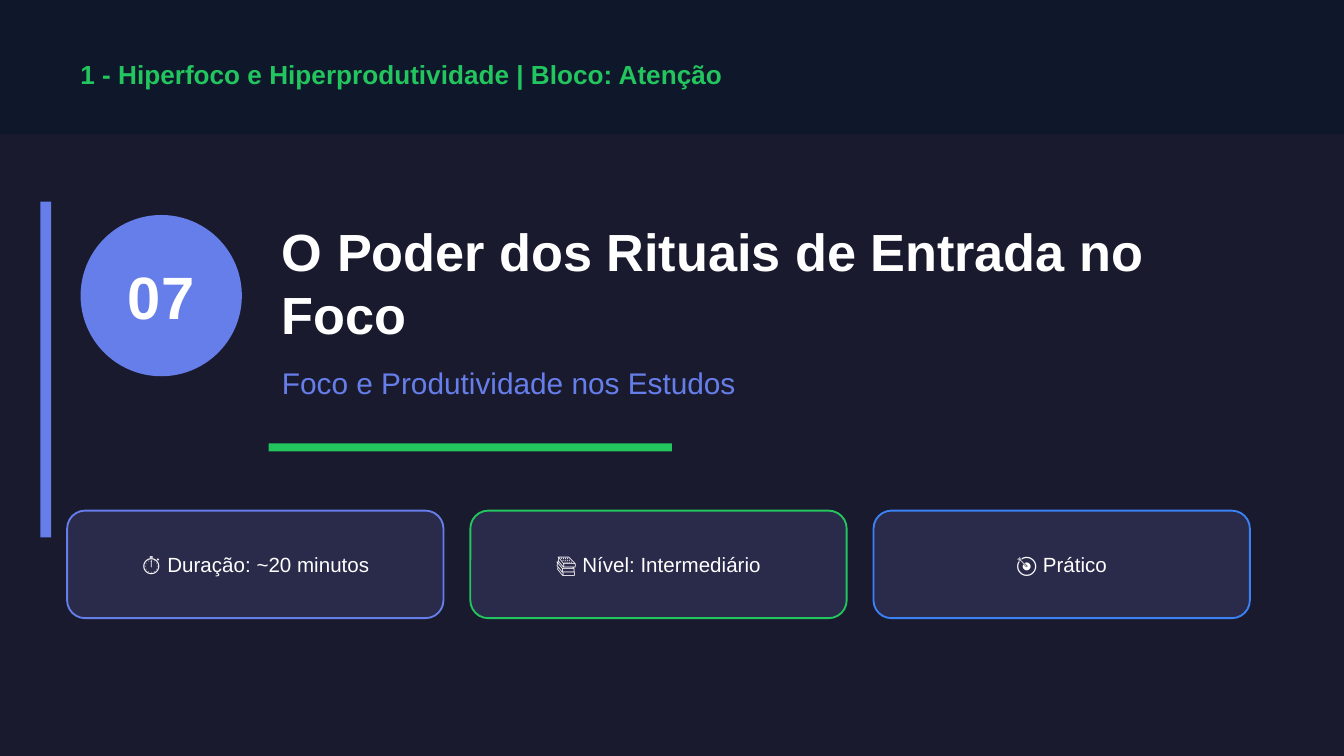
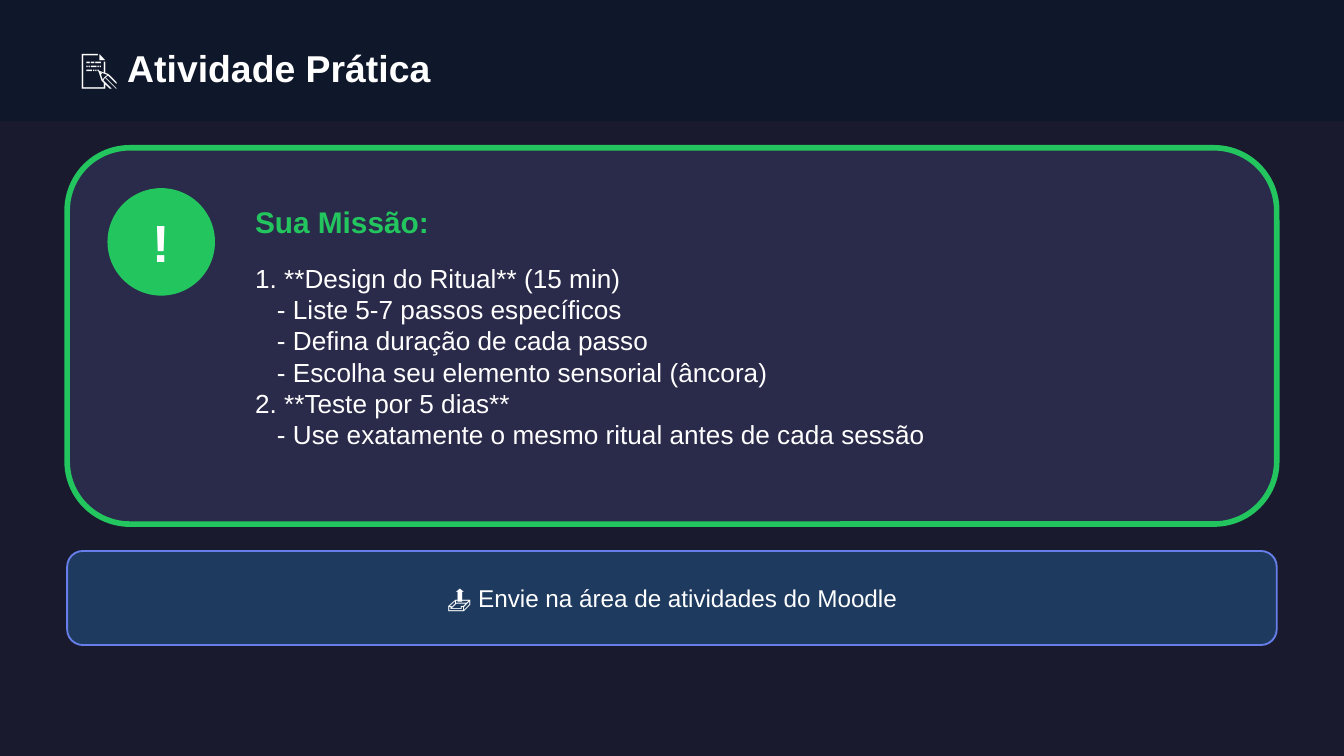
from collections import namedtuple

from pptx import Presentation
from pptx.dml.color import RGBColor
from pptx.enum.shapes import MSO_SHAPE
from pptx.enum.text import MSO_ANCHOR, PP_ALIGN
from pptx.util import Inches, Pt

RECT, ROUND, OVAL = MSO_SHAPE.RECTANGLE, MSO_SHAPE.ROUNDED_RECTANGLE, MSO_SHAPE.OVAL
LEFT, CENTER = PP_ALIGN.LEFT, PP_ALIGN.CENTER
TOP, MIDDLE = MSO_ANCHOR.TOP, MSO_ANCHOR.MIDDLE

NIGHT = RGBColor(0x1A, 0x1A, 0x2E)
BAND = RGBColor(0x0F, 0x17, 0x2A)
CARD = RGBColor(0x2A, 0x2A, 0x4A)
NAVY = RGBColor(0x1E, 0x3A, 0x5F)
GREEN = RGBColor(0x22, 0xC5, 0x5E)
INDIGO = RGBColor(0x66, 0x7E, 0xEA)
BLUE = RGBColor(0x3B, 0x82, 0xF6)
WHITE = RGBColor(0xFF, 0xFF, 0xFF)

FONT = "Arial"
WIDTH = Inches(10)
HEIGHT = WIDTH * 9 // 16
COLUMNS = 100
CELL = WIDTH // COLUMNS
MARGIN = 5
CONTENT = COLUMNS - 2 * MARGIN
SUB_INDENT = Pt(11.7)

Box = namedtuple("Box", "x y w h")


def within(box, x, y, w, h):
    return Box(box.x + x, box.y + y, w, h)


def emu(box):
    return [round(v * CELL) for v in box]


def add_block(s, kind, box, fill, line=None, weight=1):
    sp = s.shapes.add_shape(kind, *emu(box))
    sp.shadow.inherit = False
    sp.fill.solid()
    sp.fill.fore_color.rgb = fill
    if line is None:
        sp.line.fill.background()
    else:
        sp.line.color.rgb = line
        sp.line.width = Pt(weight)


def add_text(s, box, text, size, color=WHITE, bold=False, align=LEFT, anchor=MIDDLE):
    tf = s.shapes.add_textbox(*emu(box)).text_frame
    tf.word_wrap = True
    tf.vertical_anchor = anchor
    for i, line in enumerate(text.split("\n")):
        p = tf.paragraphs[0] if i == 0 else tf.add_paragraph()
        p.alignment = align
        if line.startswith("- "):
            p._p.get_or_add_pPr().set("marL", str(SUB_INDENT))
        r = p.add_run()
        r.text = line
        r.font.name = FONT
        r.font.size = Pt(size)
        r.font.bold = bold
        r.font.color.rgb = color


def new_slide(prs):
    s = prs.slides.add_slide(prs.slide_layouts[6])
    s.background.fill.solid()
    s.background.fill.fore_color.rgb = NIGHT
    return s


def add_header(s, box, text, size, color, top, height):
    add_block(s, RECT, box, BAND)
    add_text(s, within(box, MARGIN, top, CONTENT, height), text, size, color, bold=True)


def add_badge(s, box, label, size, fill, top, height):
    add_block(s, OVAL, box, fill)
    add_text(s, within(box, 0, top, box.w, height), label, size, bold=True, align=CENTER)


def add_pill(s, box, text, size, fill, line, label_height):
    add_block(s, ROUND, box, fill, line)
    add_text(s, within(box, 0, 1.5, box.w, label_height), text, size, align=CENTER)


def add_lesson_title(s, box, number, title, subtitle):
    add_block(s, RECT, within(box, 0, 0, 0.8, box.h), INDIGO)
    add_badge(s, within(box, 3, 1, 12, 12), number, 32, INDIGO, 2.5, 7)
    add_text(s, within(box, 17, 1, 75, 10), title, 28, bold=True)
    add_text(s, within(box, 17, 11, 75, 5), subtitle, 16, INDIGO)
    add_block(s, RECT, within(box, 17, 18, 30, 0.6), GREEN)


def add_facts(s, box, facts, gap=2):
    width = (box.w - gap * (len(facts) - 1)) / len(facts)
    for i, (text, color) in enumerate(facts):
        card = within(box, i * (width + gap), 0, width, box.h)
        add_pill(s, card, text, 11, CARD, color, 5)


def add_mission(s, box, heading, steps):
    add_block(s, ROUND, box, CARD, GREEN, 3)
    add_badge(s, within(box, 3, 3, 8, 8), "!", 28, GREEN, 1, 6)
    add_text(s, within(box, 13, 3, 75, 5), heading, 16, GREEN, bold=True)
    add_text(s, within(box, 13, 8, 74, 18), steps, 14, anchor=TOP)


def build_cover(prs):
    s = new_slide(prs)
    add_header(s, Box(0, 0, COLUMNS, 10),
               "1 - Hiperfoco e Hiperprodutividade | Bloco: Atenção", 14, GREEN, 3.5, 4)
    add_lesson_title(s, Box(3, 15, 92, 25), "07",
                     "O Poder dos Rituais de Entrada no Foco",
                     "Foco e Produtividade nos Estudos")
    add_facts(s, Box(MARGIN, 38, 88, 8), [
        ("⏱ Duração: ~20 minutos", INDIGO),
        ("📚 Nível: Intermediário", GREEN),
        ("🎯 Prático", BLUE),
    ])


def build_activity(prs):
    s = new_slide(prs)
    add_header(s, Box(0, 0, COLUMNS, 9), "📝 Atividade Prática", 20, WHITE, 2.5, 5)
    add_mission(s, Box(MARGIN, 11, CONTENT, 28), "Sua Missão:", "\n".join([
        "1. **Design do Ritual** (15 min)",
        "- Liste 5-7 passos específicos",
        "- Defina duração de cada passo",
        "- Escolha seu elemento sensorial (âncora)",
        "2. **Teste por 5 dias**",
        "- Use exatamente o mesmo ritual antes de cada sessão",
    ]))
    add_pill(s, Box(MARGIN, 41, CONTENT, 7),
             "📤 Envie na área de atividades do Moodle", 13, NAVY, INDIGO, 4)


def main():
    prs = Presentation()
    prs.slide_width, prs.slide_height = WIDTH, HEIGHT
    build_cover(prs)
    build_activity(prs)
    prs.save("out.pptx")


if __name__ == "__main__":
    main()
